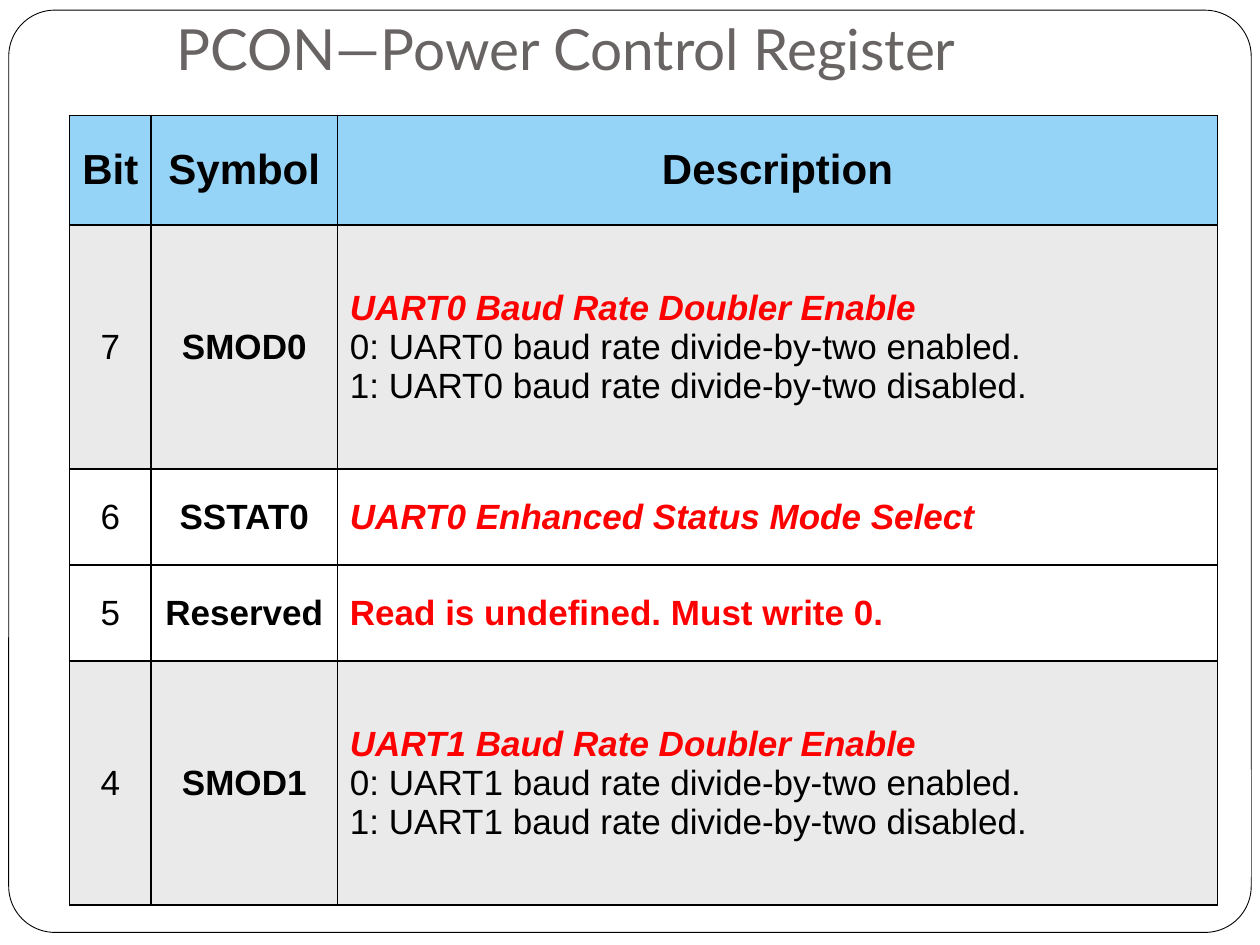
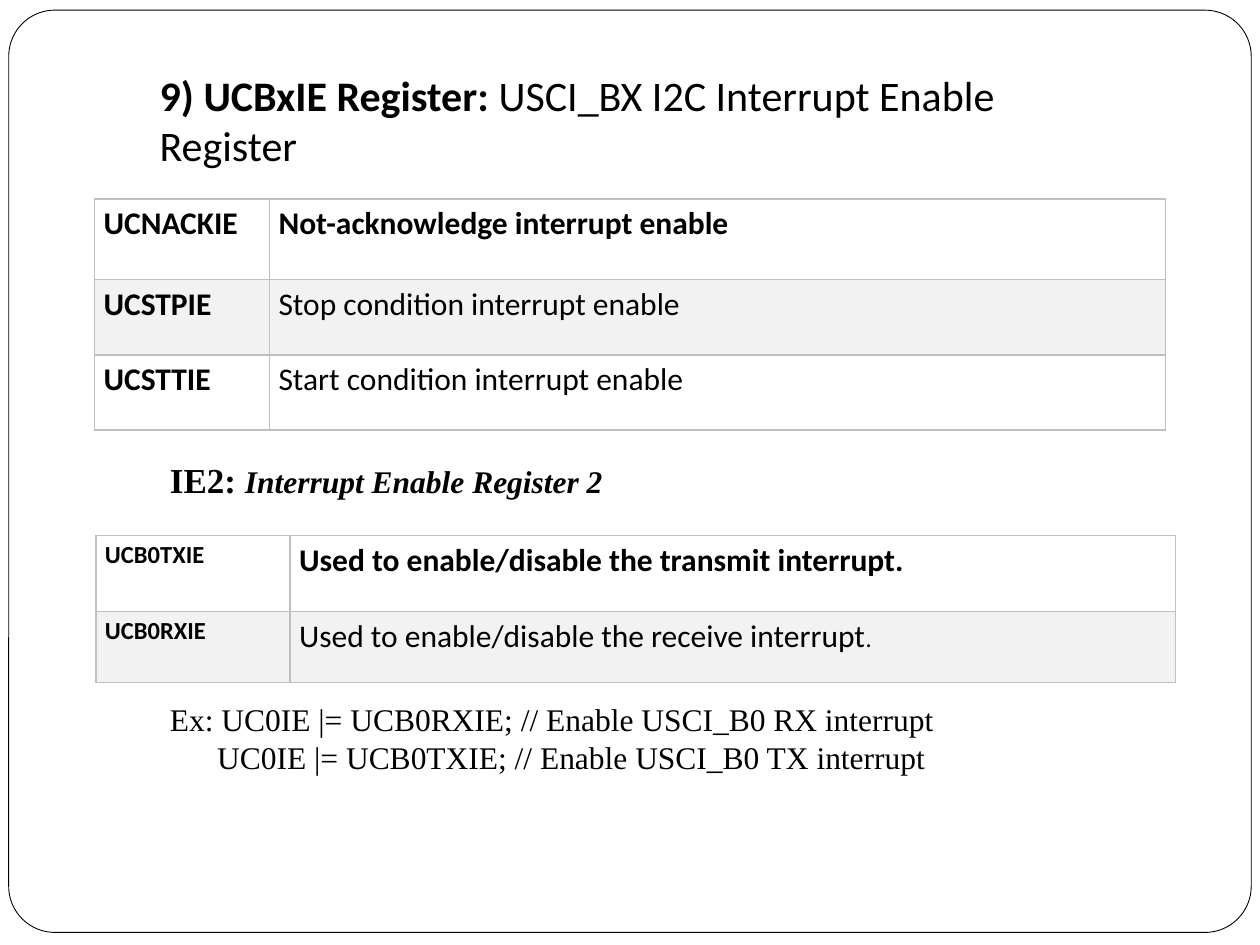
from dataclasses import dataclass, replace

from lxml.etree import SubElement
from pptx import Presentation
from pptx.dml.color import RGBColor
from pptx.enum.shapes import MSO_SHAPE
from pptx.enum.text import MSO_ANCHOR, PP_ALIGN
from pptx.oxml.ns import qn
from pptx.util import Pt

BLACK, WHITE, RED = "000000", "FFFFFF", "FF0000"
TITLE_GREY, HEADER_BLUE, BAND_GREY = "696464", "95D4F7", "EAEAEA"
PALE_GREY, RULE_GREY = "F2F2F2", "BFBFBF"


@dataclass(frozen=True)
class Style:
    font: str
    size: float
    bold: bool = False
    italic: bool = False
    color: str = BLACK


@dataclass(frozen=True)
class TableLook:
    border: str
    insets: tuple
    anchor: MSO_ANCHOR
    line_spacing: float = 1.0


TITLE = Style("Lato", 32.4, color=TITLE_GREY)
HEADER = Style("Arial", 24, bold=True)
BODY = Style("Arial", 20)
SYMBOL = replace(BODY, bold=True)
WARNING = replace(SYMBOL, color=RED)
FUNCTION = replace(WARNING, italic=True)
HEADING = Style("Calibri", 24)
FLAG = Style("Calibri", 18, bold=True)
MEANING = replace(FLAG, bold=False)
SMALL_FLAG = replace(FLAG, size=14)
CODE = Style("Times New Roman", 18)

REGISTER_LOOK = TableLook(BLACK, (7.2, 7.2, 7.2, 7.2), MSO_ANCHOR.MIDDLE)
FLAG_LOOK = TableLook(RULE_GREY, (5.2, 0, 5.2, 0), MSO_ANCHOR.TOP, 1.15)
BOX_INSETS = (7.2, 3.6, 7.2, 3.6)


def rgb(value):
    return RGBColor.from_string(value)


def set_margins(target, insets):
    (target.margin_left, target.margin_top,
     target.margin_right, target.margin_bottom) = map(Pt, insets)


def write(frame, paragraphs, align=PP_ALIGN.LEFT, line_spacing=1.0):
    for index, runs in enumerate(paragraphs):
        paragraph = frame.add_paragraph() if index else frame.paragraphs[0]
        paragraph.alignment = align
        paragraph.line_spacing = line_spacing
        for text, style in runs:
            run = paragraph.add_run()
            run.text = text
            font = run.font
            font.name, font.size = style.font, Pt(style.size)
            font.bold, font.italic = style.bold, style.italic
            font.color.rgb = rgb(style.color)


def add_text(slide, box, paragraphs, anchor=MSO_ANCHOR.TOP, insets=BOX_INSETS):
    frame = slide.shapes.add_textbox(*map(Pt, box)).text_frame
    frame.word_wrap = True
    frame.vertical_anchor = anchor
    set_margins(frame, insets)
    write(frame, paragraphs)
    return frame


def add_panel(slide, box, preset, line=None):
    panel = slide.shapes.add_shape(preset, *map(Pt, box))
    panel.shadow.inherit = False
    panel.fill.solid()
    panel.fill.fore_color.rgb = rgb(WHITE)
    if line:
        panel.line.color.rgb = rgb(line)
        panel.line.width = Pt(0.5)
    else:
        panel.line.fill.background()
    return panel


def add_framed_slide(deck):
    slide = deck.slides.add_slide(deck.slide_layouts[6])
    frame = add_panel(slide, (5, 5.8, 710, 527), MSO_SHAPE.ROUNDED_RECTANGLE, BLACK)
    frame.adjustments[0] = 0.05
    return slide


def draw_borders(cell, color):
    properties = cell._tc.get_or_add_tcPr()
    for side in ("a:lnL", "a:lnR", "a:lnT", "a:lnB"):
        line = SubElement(properties, qn(side), w=str(Pt(1)))
        fill = SubElement(line, qn("a:solidFill"))
        SubElement(fill, qn("a:srgbClr"), val=color)


def add_register_table(slide, origin, widths, heights, rows, fills, look, centred=0):
    table = slide.shapes.add_table(
        len(heights), len(widths), *map(Pt, origin), Pt(sum(widths)), Pt(sum(heights))
    ).table
    table.first_row = table.horz_banding = False
    for column, width in zip(table.columns, widths):
        column.width = Pt(width)
    for row, height, contents, fill in zip(table.rows, heights, rows, fills):
        row.height = Pt(height)
        for index, (cell, paragraphs) in enumerate(zip(row.cells, contents)):
            draw_borders(cell, look.border)
            if fill:
                cell.fill.solid()
                cell.fill.fore_color.rgb = rgb(fill)
            else:
                cell.fill.background()
            set_margins(cell, look.insets)
            cell.vertical_anchor = look.anchor
            is_centred = index < centred or fill == HEADER_BLUE
            write(cell.text_frame, paragraphs,
                  PP_ALIGN.CENTER if is_centred else PP_ALIGN.LEFT, look.line_spacing)


def bit_row(bit, symbol, description):
    return [[[(bit, BODY)]], [[(symbol, SYMBOL)]], description]


def doubler(uart):
    return [
        [(f"{uart} Baud Rate Doubler Enable", FUNCTION)],
        [(f"0: {uart} baud rate divide-by-two enabled.", BODY)],
        [(f"1: {uart} baud rate divide-by-two disabled.", BODY)],
    ]


def build_power_control(deck):
    slide = add_framed_slide(deck)
    add_panel(slide, (586, 440, 129, 61), MSO_SHAPE.RECTANGLE)
    add_text(slide, (93.6, 18, 590.4, 36), [[("PCON—Power Control Register", TITLE)]],
             MSO_ANCHOR.BOTTOM, (7.2, 3.6, 7.2, 7.2))
    rows = [
        [[[(label, HEADER)]] for label in ("Bit", "Symbol", "Description")],
        bit_row("7", "SMOD0", doubler("UART0")),
        bit_row("6", "SSTAT0", [[("UART0 Enhanced Status Mode Select", FUNCTION)]]),
        bit_row("5", "Reserved", [[("Read is undefined. Must write 0.", WARNING)]]),
        bit_row("4", "SMOD1", doubler("UART1")),
    ]
    add_register_table(
        slide, (39.8, 66), (46.6, 106.4, 503), (62.6, 139.5, 54.8, 54.8, 139.5),
        rows, (HEADER_BLUE, BAND_GREY, WHITE, None, BAND_GREY), REGISTER_LOOK, centred=2)


def build_interrupt_enable(deck):
    slide = add_framed_slide(deck)
    add_text(slide, (84.2, 36, 570, 65.5), [[
        ("9) UCBxIE Register: ", replace(HEADING, bold=True)),
        ("USCI_BX I2C Interrupt Enable Register", HEADING),
    ]])
    add_register_table(
        slide, (54, 113.8), (100, 512), (46, 43, 43),
        [
            [[[("UCNACKIE", FLAG)]], [[("Not-acknowledge interrupt enable", FLAG)]]],
            [[[("UCSTPIE", FLAG)]], [[("Stop condition interrupt enable", MEANING)]]],
            [[[("UCSTTIE", FLAG)]], [[("Start condition interrupt enable", MEANING)]]],
        ],
        (None, PALE_GREY, None), FLAG_LOOK)
    add_register_table(
        slide, (54.8, 306), (111, 506), (43.4, 40.6),
        [
            [[[("UCB0TXIE", SMALL_FLAG)]],
             [[("Used to enable/disable the transmit interrupt.", FLAG)]]],
            [[[("UCB0RXIE", SMALL_FLAG)]],
             [[("Used to enable/disable the receive interrupt", MEANING),
               (".", replace(MEANING, size=14))]]],
        ],
        (None, PALE_GREY), FLAG_LOOK)
    add_text(slide, (90, 258, 516, 31.5), [[
        ("IE2: ", replace(CODE, size=20, bold=True)),
        ("Interrupt Enable Register 2", replace(CODE, bold=True, italic=True)),
    ]], MSO_ANCHOR.MIDDLE)
    example = add_text(slide, (90, 396, 504, 51), [
        [("Ex: UC0IE |= UCB0RXIE; // Enable USCI_B0 RX interrupt", CODE)],
        [("UC0IE |= UCB0TXIE; // Enable USCI_B0 TX interrupt", CODE)],
    ], MSO_ANCHOR.MIDDLE)
    example.paragraphs[1]._p.get_or_add_pPr().set("marL", str(Pt(27)))


def main():
    deck = Presentation()
    deck.slide_width, deck.slide_height = Pt(720), Pt(540)
    build_power_control(deck)
    build_interrupt_enable(deck)
    deck.save("out.pptx")


if __name__ == "__main__":
    main()
